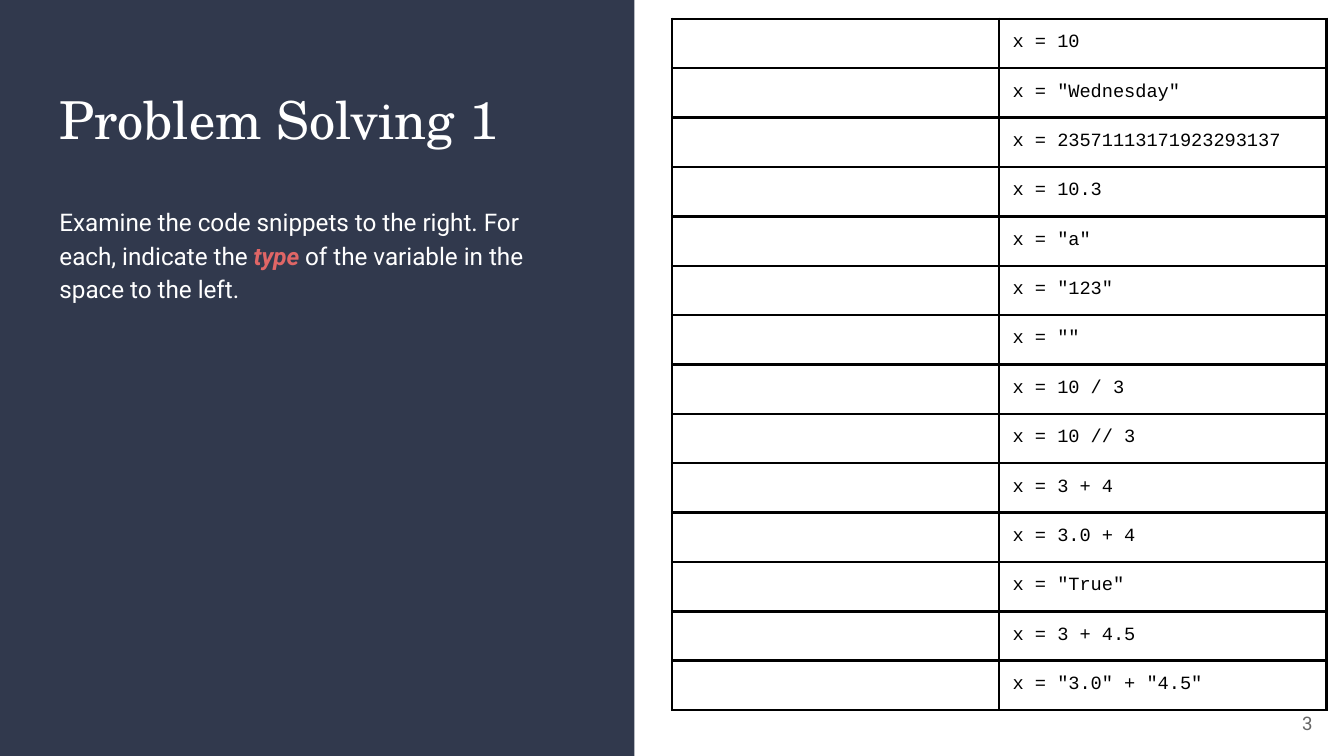
from lxml.etree import SubElement
from pptx import Presentation
from pptx.dml.color import RGBColor
from pptx.enum.shapes import MSO_SHAPE
from pptx.enum.text import MSO_ANCHOR, PP_ALIGN
from pptx.oxml.ns import qn
from pptx.util import Inches, Pt

NAVY = RGBColor(0x31, 0x39, 0x4D)
WHITE = RGBColor(0xFF, 0xFF, 0xFF)
CORAL = RGBColor(0xE0, 0x66, 0x66)
GRAY = RGBColor(0x66, 0x66, 0x66)
BLACK = RGBColor(0, 0, 0)

WIDE = Inches(10)
HIGH = WIDE * 9 // 16
PAD = Inches(0.1)
RULE = Pt(1.5)
SERIF, SANS, MONO = "TeX Gyre Schola", "Roboto", "Courier New"

CODE = [
    'x = 10',
    'x = "Wednesday"',
    'x = 23571113171923293137',
    'x = 10.3',
    'x = "a"',
    'x = "123"',
    'x = ""',
    'x = 10 / 3',
    'x = 10 // 3',
    'x = 3 + 4',
    'x = 3.0 + 4',
    'x = "True"',
    'x = 3 + 4.5',
    'x = "3.0" + "4.5"',
]


def share(box, left, top, wide, high):
    """Return the part of a box given by percentages of its sides."""
    x, y, w, h = box
    return (int(x + w * left / 100), int(y + h * top / 100),
            int(w * wide / 100), int(h * high / 100))


def write(para, text, font, size, color, strong=False):
    """Add one formatted run to a paragraph."""
    run = para.add_run()
    run.text = text
    run.font.name = font
    run.font.size = Pt(size)
    run.font.color.rgb = color
    run.font.bold = run.font.italic = strong


def frame(shape, box, anchor, align=PP_ALIGN.LEFT):
    """Place a text shape and return its first paragraph."""
    shape.left, shape.top, shape.width, shape.height = box
    text = shape.text_frame
    text.word_wrap = True
    text.vertical_anchor = anchor
    text.margin_left = text.margin_right = PAD
    text.margin_top = text.margin_bottom = PAD
    para = text.paragraphs[0]
    para.alignment = align
    return para


def panel(slide, box):
    """Build the dark side with the title and the task."""
    back = slide.shapes.add_shape(MSO_SHAPE.RECTANGLE, *box)
    back.shadow.inherit = False
    back.fill.solid()
    back.fill.fore_color.rgb = NAVY
    back.line.fill.background()
    tree = slide.shapes._spTree
    tree.remove(back._element)
    tree.insert(2, back._element)

    head = frame(slide.shapes.title, share(box, 7.3, 9.8, 85.8, 12.5),
                 MSO_ANCHOR.TOP)
    write(head, "Problem Solving 1", SERIF, 28, WHITE)

    place = share(box, 7.3, 25.1, 85.8, 52.5)
    task = frame(slide.shapes.add_textbox(*place), place, MSO_ANCHOR.TOP)
    task.line_spacing = 1.15
    task.space_after = Pt(16)
    write(task, "Examine the code snippets to the right. For each, indicate the ",
          SANS, 13, WHITE)
    write(task, "type ", SANS, 13, CORAL, True)
    write(task, "of the variable in the space to the left.", SANS, 13, WHITE)


def border(cell):
    """Draw a black rule on all four sides of a cell."""
    props = cell._tc.get_or_add_tcPr()
    for spot, side in enumerate(("a:lnL", "a:lnR", "a:lnT", "a:lnB")):
        line = SubElement(props, qn(side), w=str(RULE))
        fill = SubElement(line, qn("a:solidFill"))
        SubElement(fill, qn("a:srgbClr"), val=str(BLACK))
        props.insert(spot, line)


def grid(slide, box):
    """Build the table of blank answers and code snippets."""
    table = slide.shapes.add_table(len(CODE), 2, *box).table
    table.first_row = table.horz_banding = False
    for row, code in zip(table.rows, CODE):
        row.height = box[3] // len(CODE)
        for cell, text in zip(row.cells, ("", code)):
            cell.fill.background()
            cell.margin_left = cell.margin_right = PAD
            cell.margin_top = cell.margin_bottom = PAD
            border(cell)
            para = cell.text_frame.paragraphs[0]
            if text:
                write(para, text, MONO, 10, BLACK)
            else:
                end = SubElement(para._p, qn("a:endParaRPr"), sz="1000")
                SubElement(end, qn("a:latin"), typeface=MONO)


def number(slide, box):
    """Place the page number."""
    para = frame(slide.shapes.add_textbox(*box), box, MSO_ANCHOR.MIDDLE,
                 PP_ALIGN.RIGHT)
    write(para, "3", SANS, 10, GRAY)


def main():
    """Build and save the slide."""
    deck = Presentation()
    deck.slide_width, deck.slide_height = WIDE, HIGH
    slide = deck.slides.add_slide(deck.slide_layouts[5])
    page = (0, 0, WIDE, HIGH)
    panel(slide, share(page, 0, 0, 47.2, 100))
    number(slide, share(page, 92.65, 91.8, 6, 7.65))
    grid(slide, share(page, 50, 2.5, 48.7, 88.65))
    deck.save("out.pptx")


if __name__ == "__main__":
    main()
